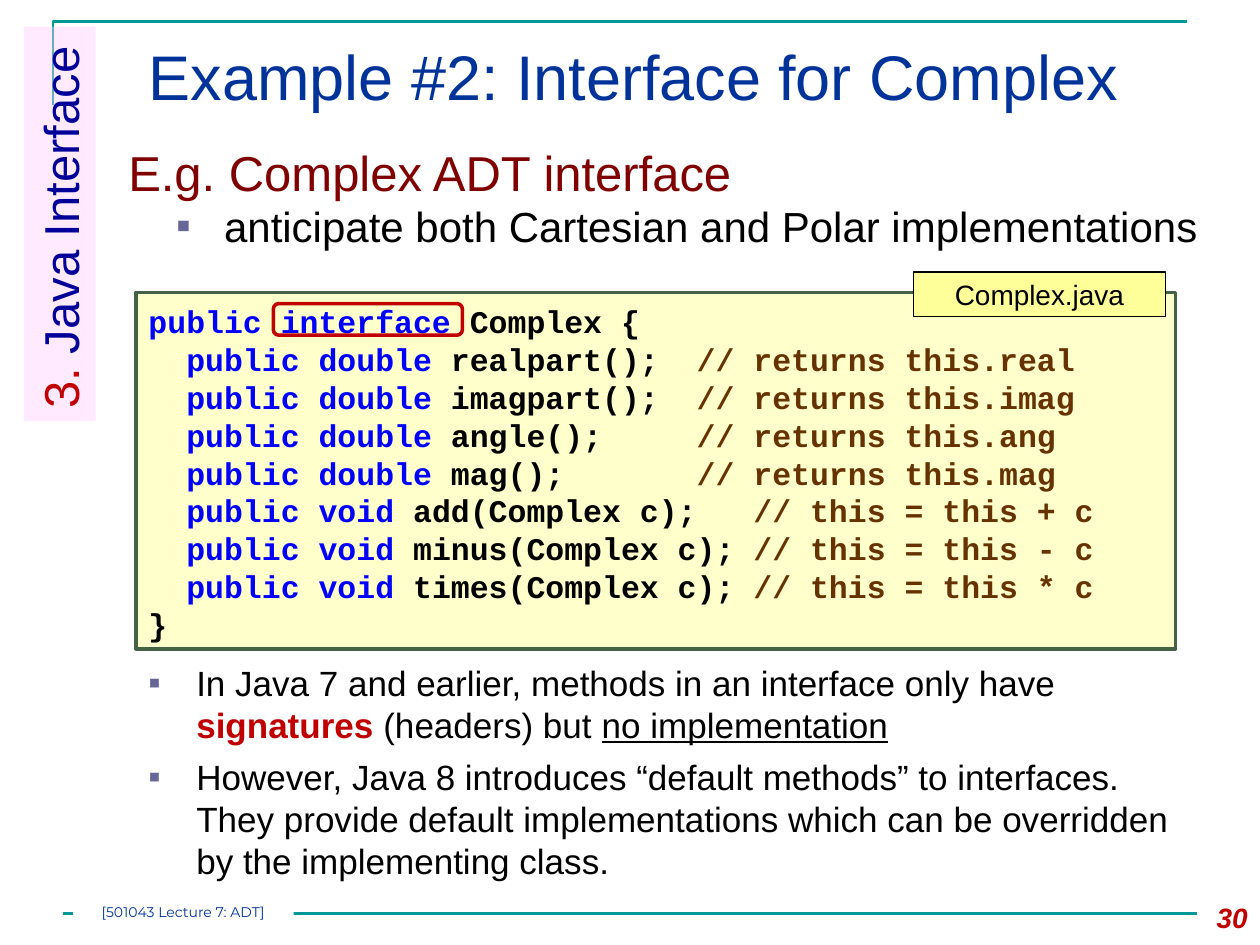
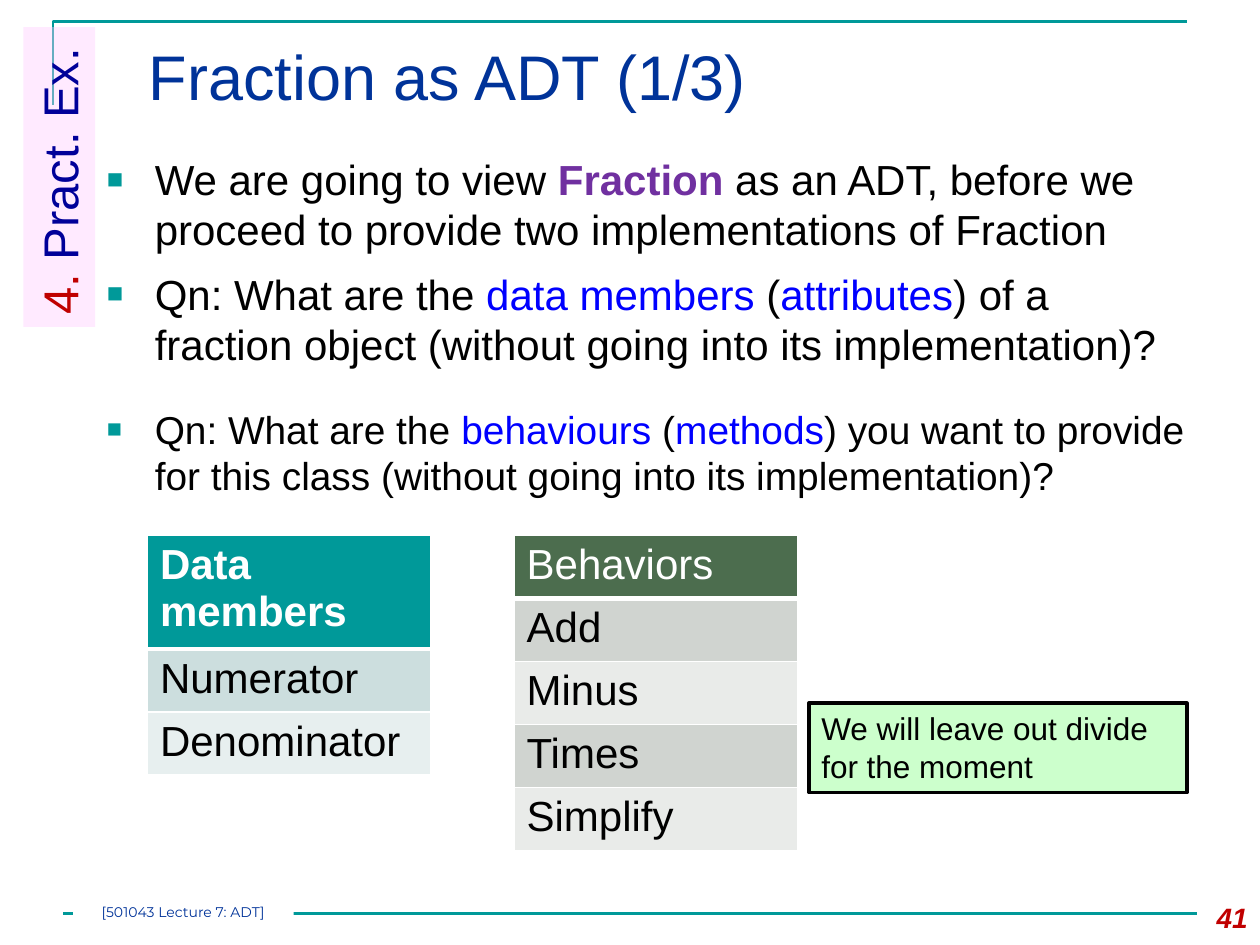
from dataclasses import dataclass

from lxml import etree
from pptx import Presentation
from pptx.dml.color import RGBColor
from pptx.enum.shapes import MSO_CONNECTOR, MSO_SHAPE
from pptx.enum.text import MSO_ANCHOR, MSO_AUTO_SIZE, PP_ALIGN
from pptx.oxml.ns import qn
from pptx.util import Pt

PX = 9144  # EMU in one px, 100 px to the inch
RECT, ROUNDED = MSO_SHAPE.RECTANGLE, MSO_SHAPE.ROUNDED_RECTANGLE
STRAIGHT = MSO_CONNECTOR.STRAIGHT
LEFT, CENTER, RIGHT = PP_ALIGN.LEFT, PP_ALIGN.CENTER, PP_ALIGN.RIGHT
TOP, MIDDLE = MSO_ANCHOR.TOP, MSO_ANCHOR.MIDDLE
NO_AUTOFIT = MSO_AUTO_SIZE.NONE


@dataclass(frozen=True)
class Theme:
    font: str = "Arial"
    code_font: str = "Courier New"
    footer_font: str = "Montserrat"
    black: str = "000000"
    white: str = "FFFFFF"
    teal: str = "009999"
    title: str = "003399"
    red: str = "C00000"
    navy: str = "000099"
    blue: str = "0000FF"
    maroon: str = "800000"
    purple: str = "7030A0"
    brown: str = "663300"
    slate: str = "666699"
    pink: str = "FFCCFF"
    code_fill: str = "FFFFCC"
    code_edge: str = "446246"
    label_fill: str = "FFFF99"
    note_fill: str = "CCFFCC"
    green: str = "4C6D4E"
    teal_rows: tuple = ("CCDEDE", "E7EFEF")
    green_rows: tuple = ("D0D4D0", "E9EBE9")
    title_size: float = 36
    heading_size: float = 28
    body_size: float = 24
    tight_size: float = 22.2
    remark_size: float = 20
    code_size: float = 18
    label_size: float = 16
    footer_size: float = 8
    leading: float = 1.2


T = Theme()


def add_box(slide, box, fill=None, line=None, width=2, geometry=None):
    """Add a preset shape, or a text box when no geometry is given."""
    place = [value * PX for value in box]
    if geometry is None:
        return slide.shapes.add_textbox(*place)
    shape = slide.shapes.add_shape(geometry, *place)
    shape.shadow.inherit = False
    if fill:
        shape.fill.solid()
        shape.fill.fore_color.rgb = RGBColor.from_string(fill)
    else:
        shape.fill.background()
    if line:
        shape.line.color.rgb = RGBColor.from_string(line)
        shape.line.width = Pt(width)
    else:
        shape.line.fill.background()
    return shape


def write(frame, paragraphs, size, font=T.font, align=LEFT, anchor=TOP,
          bullet=None, level=1, gap=0, leading=T.leading):
    """Fill a frame; each run is (text, colour, flags...), bullet is (char, colour, percent)."""
    frame.word_wrap = True
    frame.vertical_anchor = anchor
    for index, runs in enumerate(paragraphs):
        paragraph = frame.paragraphs[0] if index == 0 else frame.add_paragraph()
        paragraph.alignment = align
        if leading:
            paragraph.line_spacing = Pt(round(size * leading, 1))
        if index:
            paragraph.space_before = Pt(gap)
        for text, color, *flags in runs:
            run = paragraph.add_run()
            run.text = text
            run.font.name = font
            run.font.size = Pt(size)
            run.font.color.rgb = RGBColor.from_string(color)
            for flag in flags:
                setattr(run.font, flag, True)
        if bullet:
            char, color, percent = bullet
            properties = paragraph._p.get_or_add_pPr()
            properties.set("marL", str(38 * level * PX))
            properties.set("indent", str(-38 * PX))
            tint = etree.SubElement(properties, qn("a:buClr"))
            etree.SubElement(tint, qn("a:srgbClr"), val=color)
            etree.SubElement(properties, qn("a:buSzPct"), val=str(percent * 1000))
            etree.SubElement(properties, qn("a:buFont"), typeface=T.font)
            etree.SubElement(properties, qn("a:buChar"), char=char)


deck = Presentation()
deck.slide_width, deck.slide_height = 1000 * PX, 750 * PX
title_only = deck.slide_layouts[5]

# Shared frame, title, section band and footer
pages = [
    ("Example #2: Interface for Complex", "30", "3. ", "Java Interface", 313),
    ("Fraction as ADT (1/3)", "41", "4. ", "Pract. Ex.", 238),
]
slides = []
for heading, page, section_number, section, band_length in pages:
    slide = deck.slides.add_slide(title_only)
    slides.append(slide)

    title = slide.shapes.title
    title.left, title.top, title.width, title.height = [v * PX for v in (108, 25, 867, 86)]
    title.text_frame.auto_size = NO_AUTOFIT
    write(title.text_frame, [[(heading, T.title)]], T.title_size)

    outline = slide.shapes.build_freeform(42, 83, scale=PX)
    outline.add_line_segments([(42, 17), (942, 17)], close=False)
    corner = outline.convert_to_shape()
    corner.shadow.inherit = False
    corner.fill.background()
    footer_rule = slide.shapes.add_connector(STRAIGHT, 50 * PX, 725 * PX, 950 * PX, 725 * PX)
    etree.SubElement(footer_rule._element.spPr, qn("a:effectLst"))
    for rule in (corner, footer_rule):
        rule.line.color.rgb = RGBColor.from_string(T.teal)
        rule.line.width = Pt(1.5)

    page_number = add_box(slide, (933, 710, 67, 40))
    write(page_number.text_frame, [[(page, T.red, "bold", "italic")]], T.label_size, align=RIGHT)

    half = band_length // 2
    band = add_box(slide, (47 - half, half - 7, band_length, 57), T.pink, geometry=RECT)
    band.rotation = 270
    band_color = band._element.spPr.find(qn("a:solidFill")).find(qn("a:srgbClr"))
    etree.SubElement(band_color, qn("a:alpha"), val="40000")
    write(band.text_frame, [[(section_number, T.red), (section, T.navy)]], T.heading_size)

    footer = add_box(slide, (58, 717, 175, 17), T.white, geometry=RECT)
    footer_frame = footer.text_frame
    footer_frame.margin_left = footer_frame.margin_right = 0
    footer_frame.margin_top = footer_frame.margin_bottom = 0
    write(footer_frame, [[("[501043 Lecture 7: ADT]", T.title)]], T.footer_size,
          T.footer_font, CENTER)

complex_slide, fraction_slide = slides

# Complex interface
small_square = ("▪", T.slate, 100)
intro = add_box(complex_slide, (92, 108, 872, 109)).text_frame
write(intro, [[("E.g. Complex ADT interface", T.maroon)]], T.heading_size)
detail = add_box(complex_slide, (92, 154, 872, 60)).text_frame
write(detail, [[("anticipate both Cartesian and Polar implementations", T.black)]],
      T.body_size, bullet=small_square, level=2)

remarks = add_box(complex_slide, (108, 520, 850, 184)).text_frame
write(remarks, [
    [("In Java 7 and earlier, methods in an interface only have ", T.black),
     ("signatures", T.red, "bold"),
     (" (headers) but ", T.black),
     ("no implementation", T.black, "underline")],
    [("However, Java 8 introduces “default methods” to interfaces. They provide default "
      "implementations which can be overridden by the implementing class.", T.black)],
], T.remark_size, bullet=small_square, gap=6)

methods = [
    ("double", "realpart();", "returns this.real"),
    ("double", "imagpart();", "returns this.imag"),
    ("double", "angle();", "returns this.ang"),
    ("double", "mag();", "returns this.mag"),
    ("void", "add(Complex c);", "this = this + c"),
    ("void", "minus(Complex c);", "this = this - c"),
    ("void", "times(Complex c);", "this = this * c"),
]
signature_width = {"double": 13, "void": 18}
code_lines = [[("public interface", T.blue, "bold"), (" Complex {", T.black, "bold")]]
for result, signature, comment in methods:
    code_lines.append([
        (f"  public {result} ", T.blue, "bold"),
        (signature.ljust(signature_width[result]), T.black, "bold"),
        (f"// {comment}", T.brown, "bold"),
    ])
code_lines.append([("}", T.black, "bold")])

code = add_box(complex_slide, (108, 232, 825, 283), T.code_fill, T.code_edge, geometry=RECT)
code.text_frame.margin_top = 8 * PX
code.text_frame.margin_bottom = 2 * PX
write(code.text_frame, code_lines, T.code_size, T.code_font)

file_label = add_box(complex_slide, (725, 216, 200, 35), T.label_fill, T.black, 0.75, RECT)
write(file_label.text_frame, [[("Complex.java", T.black)]], T.label_size,
      align=CENTER, anchor=MIDDLE)
add_box(complex_slide, (217, 241, 150, 25), line=T.red, geometry=ROUNDED)

# Fraction as ADT
large_square = ("■", T.teal, 65)
points = [
    (117, T.body_size, [
        ("We are going to view ", T.black), ("Fraction", T.purple, "bold"),
        (" as an ADT, before we proceed to provide two implementations of Fraction", T.black)]),
    (208, T.body_size, [
        ("Qn: What are the ", T.black), ("data members ", T.blue), ("(", T.black),
        ("attributes", T.blue),
        (") of a fraction object (without going into its implementation)?", T.black)]),
    (317, T.tight_size, [
        ("Qn: What are the ", T.black), ("behaviours ", T.blue), ("(", T.black),
        ("methods", T.blue),
        (") you want to provide for this class (without going into its implementation)?",
         T.black)]),
]
for top, size, runs in points:
    point = add_box(fraction_slide, (75, top, 875, 100)).text_frame
    point.margin_right = 7 * PX
    write(point, [runs], size, bullet=large_square)

member_lists = [
    (117, T.teal, T.teal_rows, ["bold"], ["Data members", "Numerator", "Denominator"]),
    (408, T.green, T.green_rows, [], ["Behaviors", "Add", "Minus", "Times", "Simplify"]),
]
for left, header_fill, row_fills, header_flags, entries in member_lists:
    place = [v * PX for v in (left, 425, 225, 41 * len(entries))]
    table = fraction_slide.shapes.add_table(len(entries), 1, *place).table
    for row, entry in enumerate(entries):
        cell = table.cell(row, 0)
        header = row == 0
        run = (entry, T.white, *header_flags) if header else (entry, T.black)
        write(cell.text_frame, [[run]], T.body_size, leading=None)
        properties = cell._tc.get_or_add_tcPr()
        for side in ("lnL", "lnR", "lnT", "lnB"):
            thick = (header and side == "lnB") or (row == 1 and side == "lnT")
            border = etree.SubElement(properties, qn(f"a:{side}"), w=str(Pt(3 if thick else 1)))
            border_fill = etree.SubElement(border, qn("a:solidFill"))
            etree.SubElement(border_fill, qn("a:srgbClr"), val=T.white)
        cell.fill.solid()
        fill = header_fill if header else row_fills[(row - 1) % 2]
        cell.fill.fore_color.rgb = RGBColor.from_string(fill)

note = add_box(fraction_slide, (642, 558, 300, 71), T.note_fill, T.black, geometry=RECT)
write(note.text_frame, [[("We will leave out divide for the moment", T.black)]], T.code_size)

deck.save("out.pptx")
